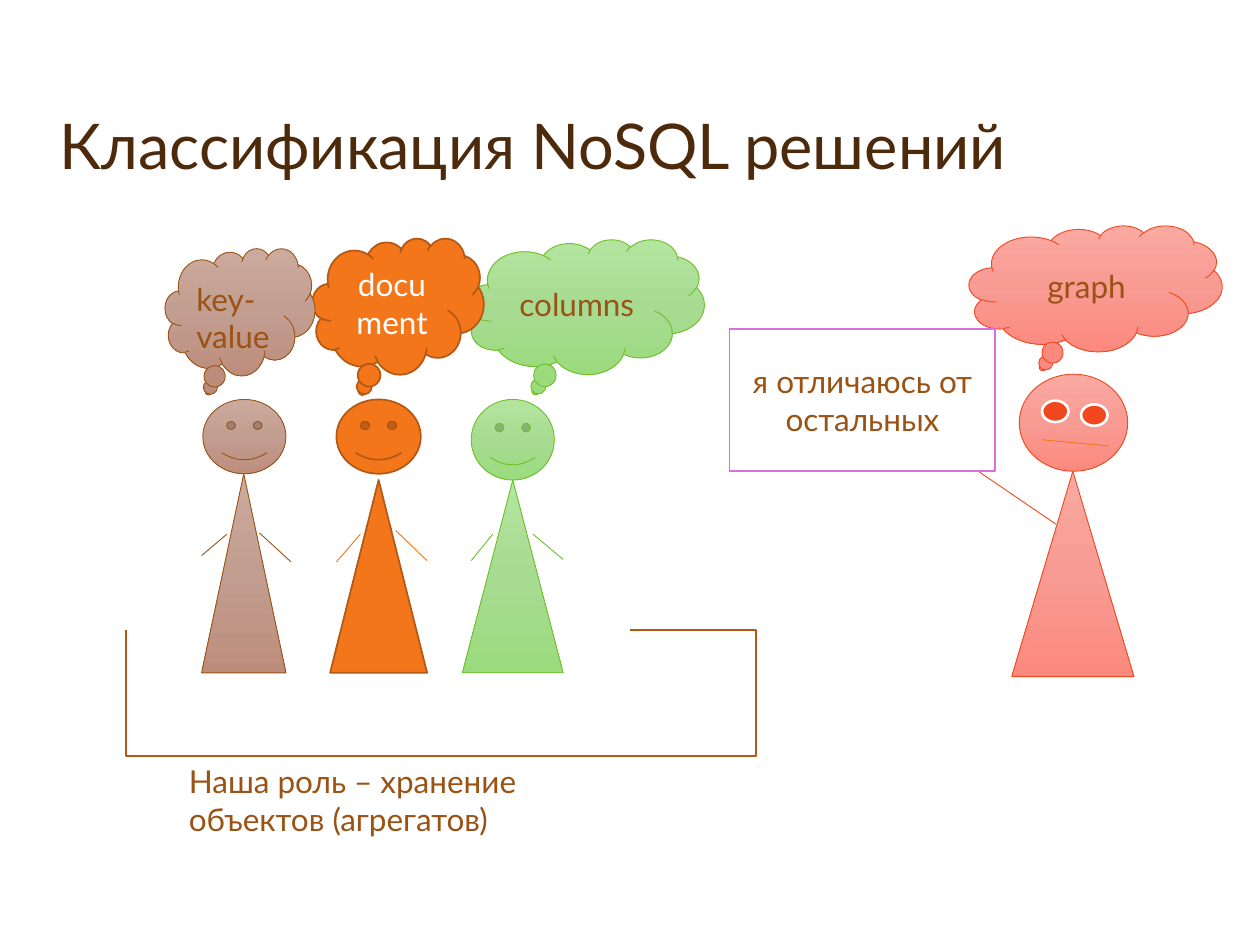
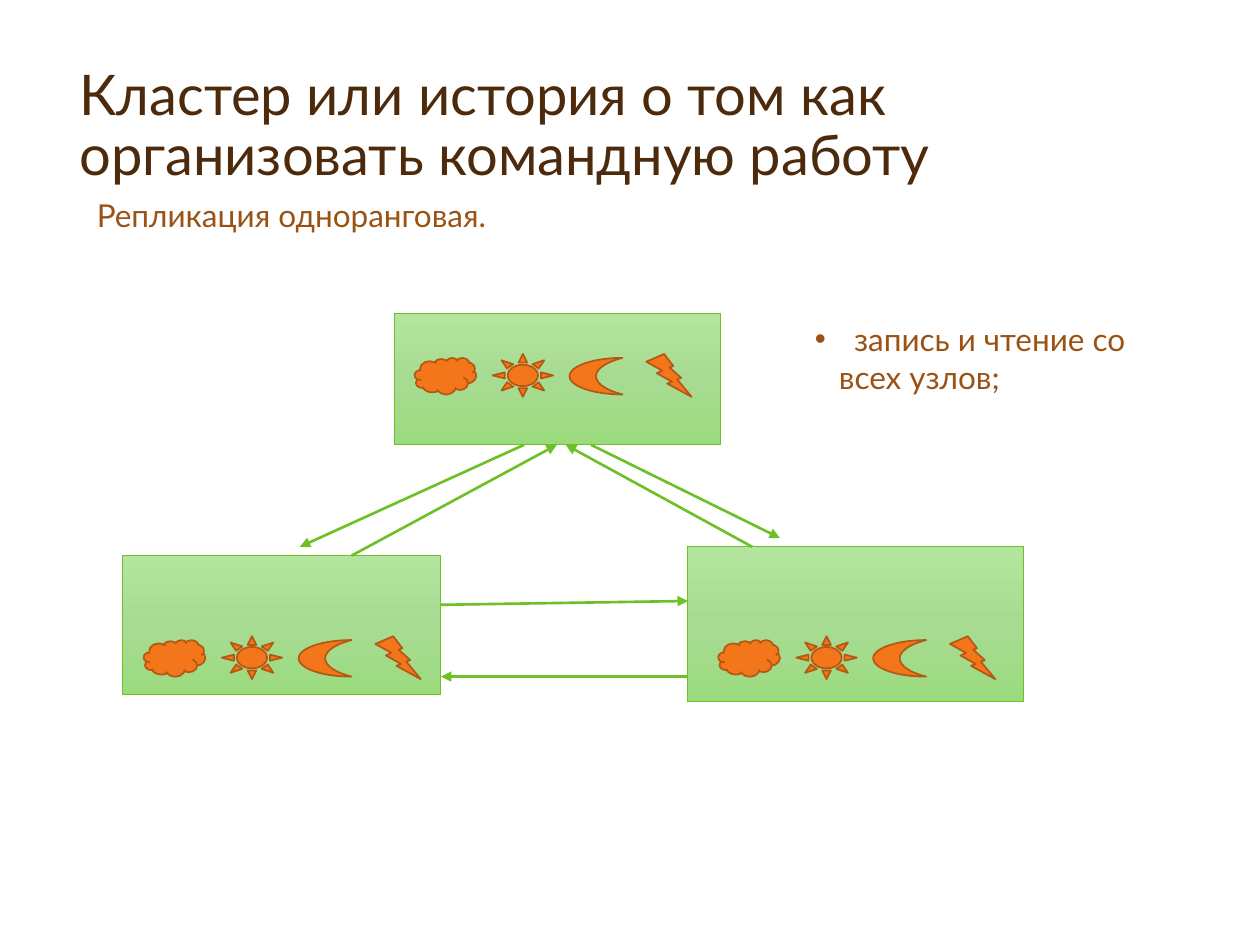
import copy

import pptx
import pptx.dml.color
import pptx.enum.shapes
import pptx.enum.text
import pptx.oxml
import pptx.oxml.ns
import pptx.util

Inches = pptx.util.Inches
qn = pptx.oxml.ns.qn
SHAPE = pptx.enum.shapes.MSO_SHAPE
ALIGN = pptx.enum.text.PP_ALIGN
ANCHOR = pptx.enum.text.MSO_ANCHOR

FONT = "Lato"
TITLE, TEXT, WHITE = "4D2A0B", "9A5315", "FFFFFF"
BROWN = dict(fill=["CDAA9E", "C29E91", "BD8D7C"], line="9A5315")
ORANGE = dict(fill="F3771A", line="B45813", width=1)
GREEN = dict(fill=["B4E59F", "A8DB92", "9BDB7E"], line="6DC025")
RED = dict(fill=["FAA9A1", "F89B93", "FC897E"], line="F1471F")


def rgb(color):
    """Turn a hex string into a colour."""
    return pptx.dml.color.RGBColor.from_string(color)


def set_line(sp, color, width):
    """Set the colour and width of an outline or line."""
    sp.line.color.rgb = rgb(color)
    sp.line.width = pptx.util.Pt(width)


def set_gradient(sp, colors):
    """Fill a shape from top to bottom with three evenly spaced colours."""
    sp.fill.gradient()
    sp.fill.gradient_angle = 270
    gs = sp._element.spPr.find(".//" + qn("a:gs"))
    gs.addnext(copy.deepcopy(gs))
    for i, (stop, color) in enumerate(zip(sp.fill.gradient_stops, colors)):
        stop.position = i / 2
        stop.color.rgb = rgb(color)


def write(p, text, size=18, color=TEXT, align=ALIGN.LEFT, spacing=None):
    """Write formatted text into a paragraph."""
    p.alignment = align
    p.line_spacing = spacing
    r = p.add_run()
    r.text = text
    r.font.name = FONT
    r.font.size = pptx.util.Pt(size)
    r.font.color.rgb = rgb(color)


def add_slide(prs, title, box, size):
    """Add a slide with its title placed in the given box."""
    s = prs.slides.add_slide(prs.slide_layouts[5])
    sp = s.shapes.title
    sp.left, sp.top, sp.width, sp.height = map(Inches, box)
    tf = sp.text_frame
    tf.auto_size = pptx.enum.text.MSO_AUTO_SIZE.NONE
    tf.vertical_anchor = ANCHOR.BOTTOM
    write(tf.paragraphs[0], title, size=size, color=TITLE, spacing=0.9)
    return s


def add_text(s, box, text):
    """Add a wrapping text box and return its text frame."""
    tf = s.shapes.add_textbox(*map(Inches, box)).text_frame
    tf.word_wrap = True
    write(tf.paragraphs[0], text)
    return tf


def add_shape(s, kind, box, fill, line, width=0.5, text=None, color=TEXT):
    """Add a preset shape with a solid or gradient fill and optional text."""
    sp = s.shapes.add_shape(kind, *map(Inches, box))
    sp.shadow.inherit = False
    if isinstance(fill, list):
        set_gradient(sp, fill)
    else:
        sp.fill.solid()
        sp.fill.fore_color.rgb = rgb(fill)
    set_line(sp, line, width)
    if text:
        sp.text_frame.vertical_anchor = ANCHOR.MIDDLE
        write(sp.text_frame.paragraphs[0], text, color=color, align=ALIGN.CENTER)


def add_line(s, start, end, color, width=0.5, arrow=False):
    """Add a straight line, with an arrowhead at its end if asked."""
    kind = pptx.enum.shapes.MSO_CONNECTOR.STRAIGHT
    cx = s.shapes.add_connector(kind, *map(Inches, start + end))
    set_line(cx, color, width)
    if arrow:
        ln = cx.line._get_or_add_ln()
        pptx.oxml.ns.qn("a:tailEnd")
        ln.append(ln.makeelement(qn("a:tailEnd"), {"type": "triangle"}))
    spPr = cx._element.spPr
    spPr.append(spPr.makeelement(qn("a:effectLst"), {}))


def bezier(a, b, c, d, steps=24):
    """Return points along a cubic curve, without its first point."""
    ts = [i / steps for i in range(1, steps + 1)]
    return [tuple((1 - t) ** 3 * p + 3 * t * (1 - t) ** 2 * q
                  + 3 * t * t * (1 - t) * u + t ** 3 * v
                  for p, q, u, v in zip(a, b, c, d)) for t in ts]


def add_outline(s, points, color, width=0.5):
    """Add an open, unfilled outline through the points."""
    fb = s.shapes.build_freeform(*points[0], scale=Inches(1))
    fb.add_line_segments(points[1:], close=False)
    sp = fb.convert_to_shape()
    sp.shadow.inherit = False
    sp.fill.background()
    set_line(sp, color, width)


def add_figure(s, style, head, body, cloud, arms, arm_color,
               face=SHAPE.SMILEY_FACE, **label):
    """Add a figure with a head, a body, arms and a thought cloud."""
    add_shape(s, face, head, **style)
    add_shape(s, SHAPE.ISOSCELES_TRIANGLE, body, **style)
    for start, end in arms:
        add_line(s, start, end, arm_color)
    add_shape(s, SHAPE.CLOUD_CALLOUT, cloud, **style, **label)


def add_node(s, box, icons_left, icons_top):
    """Add a cluster node holding the four data icons."""
    add_shape(s, SHAPE.RECTANGLE, box, **GREEN)
    icons = [(SHAPE.CLOUD, 0, 0.03, 0.49, 0.29), (SHAPE.SUN, 0.62, 0, 0.48, 0.34),
             (SHAPE.MOON, 1.23, 0.03, 0.42, 0.29),
             (SHAPE.LIGHTNING_BOLT, 1.84, 0, 0.36, 0.34)]
    for kind, dx, dy, w, h in icons:
        add_shape(s, kind, (icons_left + dx, icons_top + dy, w, h), **ORANGE)


def build_classification(prs):
    """Build the slide that classifies the stores as figures."""
    s = add_slide(prs, "Классификация NoSQL решений", (0.37, 0.34, 8.94, 1.16), 36)
    add_figure(s, GREEN, (3.74, 3.17, 0.66, 0.64), (3.67, 3.81, 0.8, 1.53),
               (3.7, 1.9, 1.89, 1.07),
               [((3.91, 4.24), (3.74, 4.45)), ((4.23, 4.24), (4.47, 4.44))],
               GREEN["line"], text="columns")
    add_figure(s, ORANGE, (2.67, 3.17, 0.67, 0.59), (2.62, 3.81, 0.77, 1.53),
               (2.48, 1.89, 1.36, 1.08),
               [((2.86, 4.24), (2.67, 4.46)), ((3.14, 4.21), (3.39, 4.45))],
               ORANGE["fill"], text="document", color=WHITE)
    add_figure(s, BROWN, (1.61, 3.17, 0.66, 0.59), (1.6, 3.76, 0.67, 1.58),
               (1.31, 1.97, 1.19, 1.01),
               [((1.8, 4.24), (1.6, 4.41)), ((2.06, 4.23), (2.31, 4.46))],
               BROWN["line"])
    add_text(s, (1.46, 2.17, 0.87, 0.71), "key-value")

    add_figure(s, RED, (8.09, 2.97, 0.86, 0.77), (8.03, 3.74, 0.97, 1.63),
               (7.69, 1.79, 2.01, 1), [((7.69, 3.69), (8.38, 4.16))],
               RED["line"], face=SHAPE.OVAL, text="graph")
    for left, top in [(8.27, 3.18), (8.58, 3.21)]:
        add_shape(s, SHAPE.OVAL, (left, top, 0.21, 0.17), RED["line"], WHITE, 1.5)
    add_line(s, (8.27, 3.49), (8.8, 3.54), ORANGE["fill"])
    elbow = (8.94, 4.05)
    bent_arm = [(8.63, 4.08), elbow]
    bent_arm += bezier(elbow, (8.91, 4.11), (8.66, 4.51), (8.77, 4.41))
    add_outline(s, bent_arm, RED["line"])
    add_shape(s, SHAPE.RECTANGLE, (5.79, 2.61, 2.11, 1.13), WHITE, "DA6FDF", 1,
              text="я отличаюсь от остальных")

    group_arc = [(1.1, 5.17)]
    for curve in [((0.67, 5.39), (0.23, 5.61), (1.07, 5.71)),
                  ((1.92, 5.81), (5.5, 5.86), (6.19, 5.77)),
                  ((6.88, 5.68), (5.39, 5.24), (5.23, 5.16))]:
        group_arc += bezier(group_arc[-1], *curve)
    add_outline(s, group_arc, ORANGE["line"], 1)
    add_text(s, (1.4, 6, 3.89, 0.71), "Наша роль – хранение объектов (агрегатов)")


def build_cluster(prs):
    """Build the slide on peer-to-peer replication."""
    s = add_slide(prs, "Кластер или история о том как организовать командную работу",
                  (0.53, 0.37, 8.76, 1.17), 32)
    add_text(s, (0.67, 1.51, 8.67, 0.4), "Репликация одноранговая.")
    add_node(s, (3.13, 2.49, 2.59, 1.04), 3.29, 2.81)
    add_node(s, (0.97, 4.41, 2.53, 1.1), 1.14, 5.05)
    add_node(s, (5.46, 4.34, 2.66, 1.23), 5.7, 5.05)
    for start, end in [((4.16, 3.53), (2.38, 4.34)), ((4.69, 3.53), (6.19, 4.27)),
                       ((3.5, 4.8), (5.46, 4.77)), ((5.46, 5.37), (3.5, 5.37)),
                       ((2.79, 4.41), (4.42, 3.53)), ((5.97, 4.34), (4.49, 3.53))]:
        add_line(s, start, end, GREEN["line"], 1.5, arrow=True)

    tf = add_text(s, (6.37, 2.49, 3.07, 0.71), "запись и чтение со")
    pPr = tf.paragraphs[0]._p.get_or_add_pPr()
    pPr.set("marL", str(Inches(0.31)))
    pPr.set("indent", str(-Inches(0.31)))
    pPr.append(pPr.makeelement(qn("a:buFont"), {"typeface": "Arial"}))
    pPr.append(pPr.makeelement(qn("a:buChar"), {"char": "•"}))
    p = tf.add_paragraph()
    write(p, "всех узлов;")
    p._p.get_or_add_pPr().set("marL", str(Inches(0.19)))


def main():
    """Build and save the presentation."""
    prs = pptx.Presentation()
    prs.slide_width, prs.slide_height = Inches(10), Inches(7.5)
    build_classification(prs)
    build_cluster(prs)
    prs.save("out.pptx")


if __name__ == "__main__":
    main()
